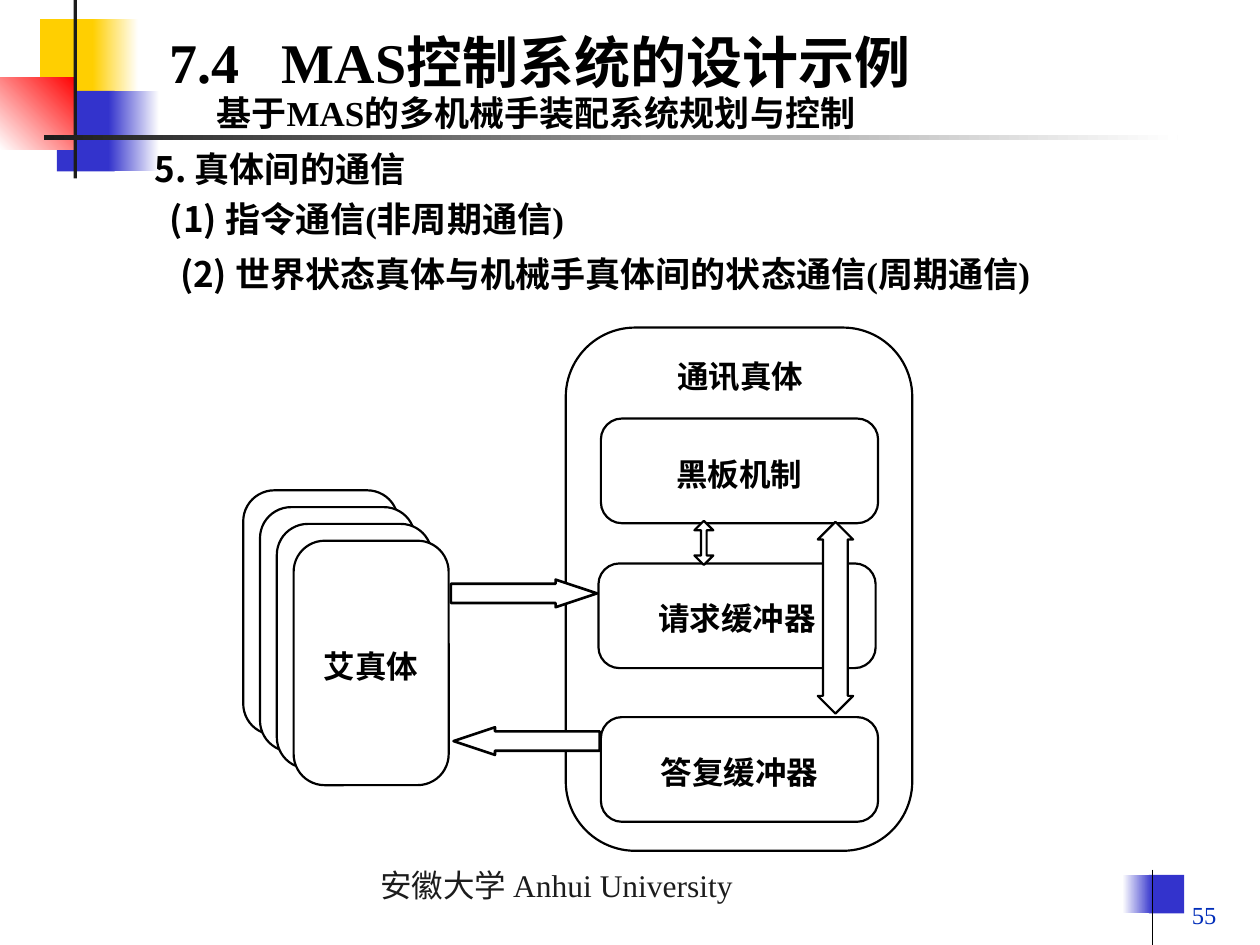
import lxml.etree
import pptx
import pptx.dml.color
import pptx.enum.shapes
import pptx.enum.text
import pptx.oxml.ns
import pptx.util

Pt = pptx.util.Pt
qn = pptx.oxml.ns.qn
SHAPE = pptx.enum.shapes.MSO_SHAPE
ANCHOR = pptx.enum.text.MSO_ANCHOR
ALIGN = pptx.enum.text.PP_ALIGN

COLORS = {
    "yellow": "FFCF01", "blue": "3333CC", "red": "FF0000", "dark": "1C1C1C",
    "white": "FFFFFF", "black": "000000", "number": "022EBA",
}
TIMES, SANS, ARIAL = "Times New Roman", "Noto Sans CJK SC", "Arial"
FORMATS = {
    "title": {"size": Pt(32), "bold": True},
    "heading": {"size": Pt(20), "bold": True},
    "label": {"size": Pt(18), "bold": True},
    "footer": {"size": Pt(18), "bold": False},
    "number": {"size": Pt(14), "bold": False},
}


def rgb(name):
    """Return the named colour."""
    return pptx.dml.color.RGBColor.from_string(COLORS[name])


def write(frame, spans, style, color="black", align=ALIGN.LEFT, tab=None):
    """Fill a text frame with one paragraph of (text, font) spans."""
    para = frame.paragraphs[0]
    if tab:
        stops = lxml.etree.SubElement(para._p.get_or_add_pPr(), qn("a:tabLst"))
        lxml.etree.SubElement(stops, qn("a:tab"), pos=str(Pt(tab)), algn="l")
    para.alignment = align
    for text, font in spans:
        span = para.add_run()
        span.text = text
        for key, value in {**FORMATS[style], "name": font}.items():
            setattr(span.font, key, value)
        span.font.color.rgb = rgb(color)
        lxml.etree.SubElement(span._r.get_or_add_rPr(), qn("a:ea"), typeface=SANS)


def add_text(page, box, spans, style, anchor=ANCHOR.MIDDLE, **options):
    """Add a wrapped text box."""
    frame = page.shapes.add_textbox(*map(Pt, box)).text_frame
    frame.word_wrap = True
    frame.vertical_anchor = anchor
    write(frame, spans, style, **options)


def add_block(page, box, colors, angle=0):
    """Add a borderless rectangle with a plain or two-colour fill."""
    block = page.shapes.add_shape(SHAPE.RECTANGLE, *map(Pt, box))
    block.shadow.inherit = False
    block.line.fill.background()
    if len(colors) == 1:
        block.fill.solid()
        block.fill.fore_color.rgb = rgb(colors[0])
        return
    block.fill.gradient()
    block.fill.gradient_angle = angle
    for stop, color in zip(block.fill.gradient_stops, colors):
        stop.color.rgb = rgb(color)


def add_outline(page, kind, box, adjustments, weight=1.25):
    """Add a white shape with a black outline."""
    shape = page.shapes.add_shape(kind, *map(Pt, box))
    shape.shadow.inherit = False
    shape.fill.solid()
    shape.fill.fore_color.rgb = rgb("white")
    shape.line.color.rgb = rgb("black")
    shape.line.width = Pt(weight)
    for index, value in enumerate(adjustments):
        shape.adjustments[index] = value
    return shape


def add_card(page, box, label=""):
    """Add a rounded card, with a centred label if given."""
    card = add_outline(page, SHAPE.ROUNDED_RECTANGLE, box, [0.2])
    if label:
        frame = card.text_frame
        frame.word_wrap = True
        frame.vertical_anchor = ANCHOR.MIDDLE
        frame.margin_left = frame.margin_right = frame.margin_bottom = 0
        frame.margin_top = Pt(3)
        write(frame, [(label, ARIAL)], "label", align=ALIGN.CENTER)


def add_emblem(page, left, top):
    """Draw the coloured squares, upright bar and rule of the header."""
    for x, y, width, height, colors, angle in (
        (23, 11, 34.5, 46, ["yellow"], 0),
        (53, 11, 26, 46, ["yellow", "white"], 0),
        (32.5, 52, 33, 46, ["blue"], 0),
        (62, 52, 29, 46, ["blue", "white"], 0),
        (0, 44.5, 44, 41, ["white", "red"], 45),
        (42, 0, 2, 102, ["dark"], 0),
        (25, 77, 648, 3, ["dark", "white"], 0),
    ):
        add_block(page, (left + x, top + y, width, height), colors, angle)


def add_corner(page, left, top):
    """Draw the small blue mark at the lower right."""
    add_block(page, (left + 15, top + 3, 20.2, 22), ["blue"])
    add_block(page, (left, top + 3, 17.3, 22), ["white", "blue"])
    ends = (left + 17.3, top, left + 17.3, top + 43)
    rule = page.shapes.add_connector(
        pptx.enum.shapes.MSO_CONNECTOR.STRAIGHT, *map(Pt, ends))
    rule.line.color.rgb = rgb("black")
    rule.line.width = Pt(0.75)
    lxml.etree.SubElement(rule._element.spPr, qn("a:effectLst"))


def add_footer(page, left, top):
    """Write the university name and the page number."""
    add_text(page, (left, top, 224, 29), [("安徽大学 Anhui University", TIMES)],
             "footer", color="dark")
    add_text(page, (left + 342, top + 6, 150, 37.5), [("55", TIMES)], "number",
             anchor=ANCHOR.BOTTOM, color="number", align=ALIGN.RIGHT)


def add_points(page, left, top):
    """Write the section heading and its two points."""
    for x, y, width, spans in (
        (0, 0, 312, [("5. 真体间的通信", SANS)]),
        (8.6, 29, 324, [("(1) 指令通信", SANS), ("(", TIMES),
                        ("非周期通信", SANS), (")", TIMES)]),
        (14.4, 60, 612, [("(2) 世界状态真体与机械手真体间的状态通信", SANS),
                         ("(", TIMES), ("周期通信", SANS), (")", TIMES)]),
    ):
        add_text(page, (left + x, top + y, width, 31), spans, "heading")


def add_diagram(page, left, top):
    """Draw the agents, the communication agent and the arrows between them."""
    add_card(page, (left + 184.3, top, 198, 299))
    for index, label in enumerate(("", "", "", "艾真体")):
        shift = 9.6 * index
        add_card(page, (left + shift, top + 93 + shift, 88.6, 139.7), label)
    for x, y, label in ((204.4, 52, "黑板机制"), (203, 134.8, "请求缓冲器"),
                        (204.4, 222.6, "答复缓冲器")):
        add_card(page, (left + x, top + y, 158.4, 59.8), label)
    add_text(page, (left + 234, top + 16.7, 100, 21.6), [("通讯真体", ARIAL)],
             "label", align=ALIGN.CENTER)
    for kind, x, y, width, height, adjustments, weight in (
        (SHAPE.RIGHT_ARROW, 118.7, 144, 83.5, 15.8, [0.7, 1.5], 1.5),
        (SHAPE.LEFT_ARROW, 120.2, 228.4, 83.5, 15.8, [0.7, 1.5], 1.5),
        (SHAPE.UP_DOWN_ARROW, 328.3, 111, 20.2, 109.6, [0.5, 0.7], 1.25),
        (SHAPE.UP_DOWN_ARROW, 257.8, 110.4, 10.8, 25.2, [0.53, 0.3], 1.25),
    ):
        add_outline(page, kind, (left + x, top + y, width, height),
                    adjustments, weight)


def add_titles(page, left, top):
    """Write the chapter title and its subtitle."""
    add_text(page, (left, top, 528, 45.4),
             [("7.4\tMAS", TIMES), ("控制系统的设计示例", SANS)], "title", tab=64)
    add_text(page, (left + 26.6, top + 36.8, 515, 31),
             [("基于", SANS), ("MAS", TIMES),
              ("的多机械手装配系统规划与控制", SANS)], "heading")


def main():
    """Build and save the deck."""
    deck = pptx.Presentation()
    deck.slide_width, deck.slide_height = Pt(720), Pt(540)
    page = deck.slides.add_slide(deck.slide_layouts[6])
    add_emblem(page, 0, 0)
    add_corner(page, 641.5, 497)
    add_footer(page, 210.2, 491)
    add_points(page, 81.4, 80.6)
    add_diagram(page, 139, 187.2)
    add_titles(page, 90, 12.2)
    deck.save("out.pptx")


if __name__ == "__main__":
    main()
